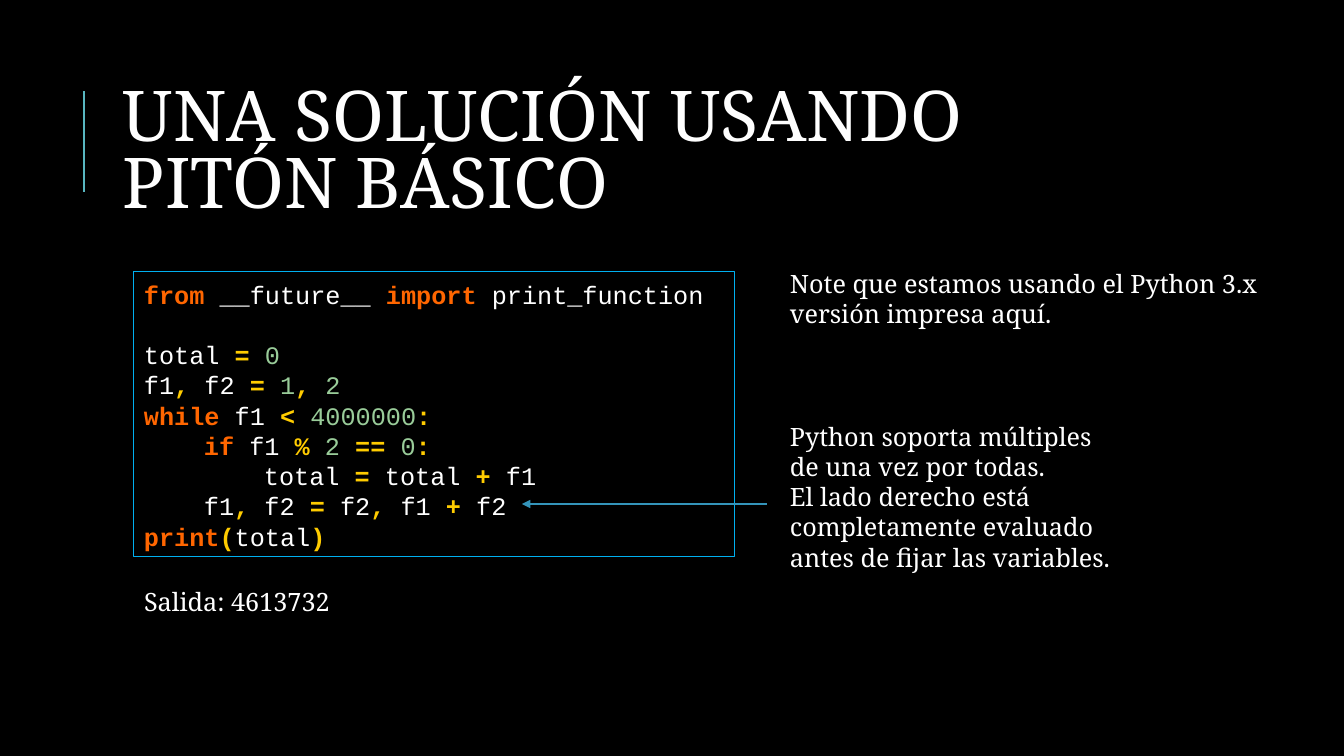
import dataclasses
import typing

import lxml.etree
import pptx
import pptx.dml.color
import pptx.enum.shapes
import pptx.enum.text
import pptx.oxml.ns
import pptx.util

SCALE = 914400 / 100.8
SERIF, MONO = "Noto Serif", "Courier New"
COLORS = {
    "back": "000000", "title": "FEFEFE", "plain": "FFFFFF",
    "key": "FF6600", "op": "FFCC00", "num": "99CC99",
    "bar": "58B6C0", "frame": "00B0F0", "arrow": "3494BA",
}
KEYS = {"from", "import", "while", "if", "print"}
OPS = {"=", ",", "<", ":", "%", "==", "+", "(", ")"}
TAB = 60


@dataclasses.dataclass
class Label:
    """Text box with its lines, type size and line pitch."""
    left: int
    top: int
    width: int
    height: int
    lines: list[str]
    size: int = 18
    pitch: float = 21.6
    inset: int = 7
    color: str = "plain"
    middle: bool = False


@dataclasses.dataclass
class Rule:
    """Straight line between two points."""
    start: tuple[int, int]
    end: tuple[int, int]
    color: str
    weight: float
    arrow: bool = False


@dataclasses.dataclass
class Code:
    """Line of code: tokens split by bars, indent level and gap above."""
    tokens: str
    level: int = 0
    gap: float = 0


LABELS = [
    Label(113, 65, 1071, 165, ["UNA SOLUCIÓN USANDO PITÓN BÁSICO"],
          50, 47.9, 21, "title", True),
    Label(780, 261, 564, 72, ["Note que estamos usando el Python 3.x\vversión impresa aquí."]),
    Label(780, 414, 404, 132, ["Python soporta múltiples", "de una vez por todas.",
                               "El lado derecho está completamente evaluado",
                               "antes de fijar las variables."]),
    Label(134, 579, 208, 40, ["Salida: 4613732"]),
]
RULES = [
    Rule((84, 192), (84, 91), "bar", 1.5),
    Rule((767, 504), (522, 504), "arrow", 0.75, True),
]
CODE = [
    Code("from| __future__ |import| print_function"),
    Code("total |= |0", gap=21.6),
    Code("f1|,| f2 |= |1|, |2"),
    Code("while| f1 |< |4000000|:"),
    Code("if| f1 |% |2 |== |0|:", 1),
    Code("total |=| total |+| f1", 2),
    Code("f1|,| f2 |=| f2|,| f1 |+| f2", 1),
    Code("print|(|total|)"),
]


def px(*sizes: int) -> list[pptx.util.Emu]:
    """Turn pixels into EMU."""
    return [pptx.util.Emu(round(size * SCALE)) for size in sizes]


def paint(name: str) -> pptx.dml.color.RGBColor:
    """Look up a colour by name."""
    return pptx.dml.color.RGBColor.from_string(COLORS[name])


def kind(token: str) -> str:
    """Name the colour of a code token."""
    word = token.strip()
    if word in KEYS:
        return "key"
    if word in OPS:
        return "op"
    return "num" if word.isdigit() else "plain"


def add_run(para: typing.Any, text: str, font: str, size: int, color: str) -> None:
    """Add one styled run."""
    run = para.add_run()
    run.text = text
    run.font.name = font
    run.font.size = pptx.util.Pt(size)
    run.font.bold = color in ("key", "op")
    run.font.color.rgb = paint(color)


def set_up(frame: typing.Any, inset: int, count: int, pitch: float) -> typing.Any:
    """Set margins and wrap, and return the spaced paragraphs."""
    frame.word_wrap = True
    frame.margin_left, frame.margin_right, frame.margin_top, frame.margin_bottom = px(
        10, 10, inset, 5)
    for _ in range(count - 1):
        frame.add_paragraph()
    for para in frame.paragraphs:
        para.alignment = pptx.enum.text.PP_ALIGN.LEFT
        para.line_spacing = pptx.util.Pt(pitch)
    return frame.paragraphs


def draw_label(slide: typing.Any, label: Label) -> None:
    """Draw a text box."""
    box = slide.shapes.add_textbox(*px(label.left, label.top, label.width, label.height))
    frame = box.text_frame
    anchor = pptx.enum.text.MSO_ANCHOR
    frame.vertical_anchor = anchor.MIDDLE if label.middle else anchor.TOP
    paras = set_up(frame, label.inset, len(label.lines), label.pitch)
    for para, line in zip(paras, label.lines):
        for index, part in enumerate(line.split("\v")):
            if index:
                para.add_line_break()
            add_run(para, part, SERIF, label.size, label.color)


def draw_rule(slide: typing.Any, rule: Rule) -> None:
    """Draw a line, with an arrowhead at its end if asked."""
    line = slide.shapes.add_connector(
        pptx.enum.shapes.MSO_CONNECTOR.STRAIGHT, *px(*rule.start, *rule.end))
    line.line.color.rgb = paint(rule.color)
    line.line.width = pptx.util.Pt(rule.weight)
    tag = pptx.oxml.ns.qn
    if rule.arrow:
        lxml.etree.SubElement(line.line._get_or_add_ln(), tag("a:tailEnd"), type="triangle")
    lxml.etree.SubElement(line._element.spPr, tag("a:effectLst"))


def draw_code(slide: typing.Any, lines: list[Code]) -> None:
    """Draw the framed code listing."""
    box = slide.shapes.add_shape(
        pptx.enum.shapes.MSO_SHAPE.RECTANGLE, *px(134, 272, 601, 285))
    box.shadow.inherit = False
    box.fill.background()
    box.line.color.rgb = paint("frame")
    box.line.width = pptx.util.Pt(0.75)
    box.text_frame.vertical_anchor = pptx.enum.text.MSO_ANCHOR.TOP
    for para, line in zip(set_up(box.text_frame, 7, len(lines), 21.6), lines):
        para.space_before = pptx.util.Pt(line.gap)
        para._p.get_or_add_pPr().set("marL", str(px(line.level * TAB)[0]))
        for token in line.tokens.split("|"):
            add_run(para, token, MONO, 18, kind(token))


def main() -> None:
    """Build and save the slide."""
    deck = pptx.Presentation()
    deck.slide_width, deck.slide_height = px(1344, 756)
    slide = deck.slides.add_slide(deck.slide_layouts[6])
    slide.background.fill.solid()
    slide.background.fill.fore_color.rgb = paint("back")
    draw_code(slide, CODE)
    for label in LABELS:
        draw_label(slide, label)
    for rule in RULES:
        draw_rule(slide, rule)
    deck.save("out.pptx")


main()
